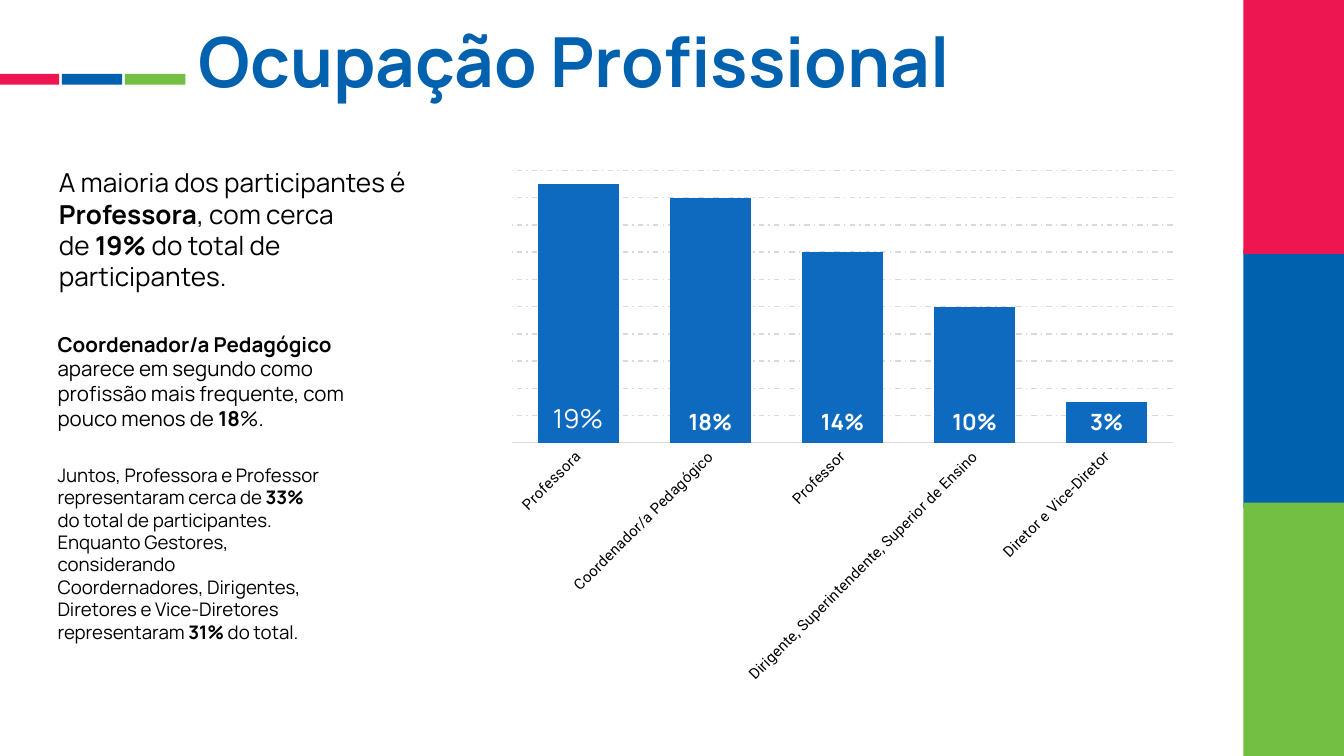
from lxml.etree import SubElement as Sub
from pptx import Presentation
from pptx.chart.data import CategoryChartData as Data
from pptx.dml.color import RGBColor
from pptx.enum.chart import XL_CHART_TYPE as Kind, XL_LABEL_POSITION as Pos, XL_TICK_MARK as Tick
from pptx.enum.dml import MSO_LINE as Dash
from pptx.enum.shapes import MSO_SHAPE as Form
from pptx.enum.text import MSO_AUTO_SIZE as Fit
from pptx.oxml.ns import qn
from pptx.util import Inches, Pt

RED, BLUE, GREEN = "ED1651", "0061AF", "72BF44"
BLACK, WHITE, GREY = "000000", "FFFFFF", "D9D9D9"
CELL = Inches(0.1)


def grid(*cells):
    return [int(n * CELL) for n in cells]


def style(font, size, tone, bold=False, face="Manrope"):
    font.size, font.name, font.bold = Pt(size), face, bold
    font.color.rgb = RGBColor.from_string(tone)


deck = Presentation()
deck.slide_width, deck.slide_height = grid(100, 56.25)
slide = deck.slides.add_slide(deck.slide_layouts[6])
shapes = slide.shapes

texts = [
    ((14.8, 1.4, 74.1, 7.7), 37, BLUE, [[("Ocupação Profissional", True)]]),
    ((3.4, 11.9, 30.1, 10.4), 14, BLACK, [
        [("A maioria dos participantes é ", False), ("Professora", True), (", com cerca", False)],
        [("de ", False), ("19% ", True), ("do total de participantes.", False)]]),
    ((3.3, 24.2, 23.9, 8.4), 11, BLACK, [
        [("Coordenador/a Pedagógico", True),
         (" aparece em segundo como profissão mais frequente, com pouco menos de ", False),
         ("18", True), ("%.", False)]]),
    ((3.3, 34, 21.7, 16.8), 10, BLACK, [
        [("Juntos, Professora e Professor representaram cerca de ", False), ("33% ", True),
         ("do total de participantes. Enquanto Gestores, considerando Coordernadores, "
          "Dirigentes, Diretores e Vice-Diretores representaram ", False),
         ("31% ", True), ("do total.", False)]]),
]
for place, size, tone, lines in texts:
    frame = shapes.add_textbox(*grid(*place)).text_frame
    frame.word_wrap = True
    if tone == BLUE:
        frame.margin_left = frame.margin_top = frame.margin_right = frame.margin_bottom = 0
    else:
        frame.auto_size = Fit.SHAPE_TO_FIT_TEXT
    for i, line in enumerate(lines):
        para = frame.add_paragraph() if i else frame.paragraphs[0]
        for words, bold in line:
            run = para.add_run()
            run.text = words
            style(run.font, size, tone, bold)

bands = [
    ((-0.1, 5.5, 4.5, 0.8), (4.7, 0), 0),
    ((86.6, 5.5, 19.3, 7.5), (0, 18.9), 90),
]
for (left, top, width, height), (across, down), turn in bands:
    group = shapes.add_group_shape()
    for i, tone in ((1, BLUE), (0, RED), (2, GREEN)):
        place = grid(left + i * across, top + i * down, width, height)
        bar = group.shapes.add_shape(Form.RECTANGLE, *place)
        bar.rotation = turn
        bar.shadow.inherit = False
        bar.fill.solid()
        bar.fill.fore_color.rgb = RGBColor.from_string(tone)
        bar.line.fill.background()

data = Data(number_format="0%")
data.categories = ["Professora", "Coordenador/a Pedagógico", "Professor",
                   "Dirigente, Superintendente, Superior de Ensino", "Diretor e Vice-Diretor"]
data.add_series("Series 1", [0.19, 0.18, 0.14, 0.1, 0.03])
chart = shapes.add_chart(Kind.COLUMN_CLUSTERED, *grid(37.1, 11.9, 51.2, 39.7), data).chart
chart.has_legend = chart.has_title = False
style(chart.font, 10, BLACK, face="TeX Gyre Bonum")

jobs, rates = chart.category_axis, chart.value_axis
jobs.major_tick_mark = jobs.minor_tick_mark = Tick.NONE
style(jobs.tick_labels.font, 8, BLACK, face="Roboto")
rates.visible = False
rates.minimum_scale, rates.maximum_scale, rates.major_unit = 0, 0.2, 0.02
rates.has_major_gridlines = True
rules = rates.major_gridlines.format.line
for line in (jobs.format.line, rules):
    line.color.rgb = RGBColor.from_string(GREY)
    line.width = Pt(0.75)
rules.dash_style = Dash.DASH_DOT

plot = chart.plots[0]
plot.gap_width, plot.vary_by_categories = 63, False
series = plot.series[0]
series.format.fill.solid()
series.format.fill.fore_color.rgb = RGBColor.from_string("0D6ABF")
labels = series.data_labels
labels.show_value = True
labels.position = Pos.INSIDE_BASE
labels.number_format, labels.number_format_is_linked = "0%", False
style(labels.font, 12, WHITE, True)
first = series.points[0].data_label
first.text_frame.text = "19%"
style(first.text_frame.paragraphs[0].runs[0].font, 14, WHITE)
first.position = Pos.INSIDE_BASE

root = chart.element
root.find(".//" + qn("c:catAx")).find(".//" + qn("a:bodyPr")).set("rot", "-2700000")
area = root.find(".//" + qn("c:plotArea"))
for old in area.findall(qn("c:layout")):
    area.remove(old)
frame = Sub(area, qn("c:layout"))
area.insert(0, frame)
inner = Sub(frame, qn("c:manualLayout"))
for tag, val in (("layoutTarget", "inner"), ("xMode", "edge"), ("yMode", "edge"),
                 ("x", "0.02"), ("y", "0.02"), ("w", "0.96"), ("h", "0.51")):
    Sub(inner, qn("c:" + tag)).set("val", val)

deck.save("out.pptx")
